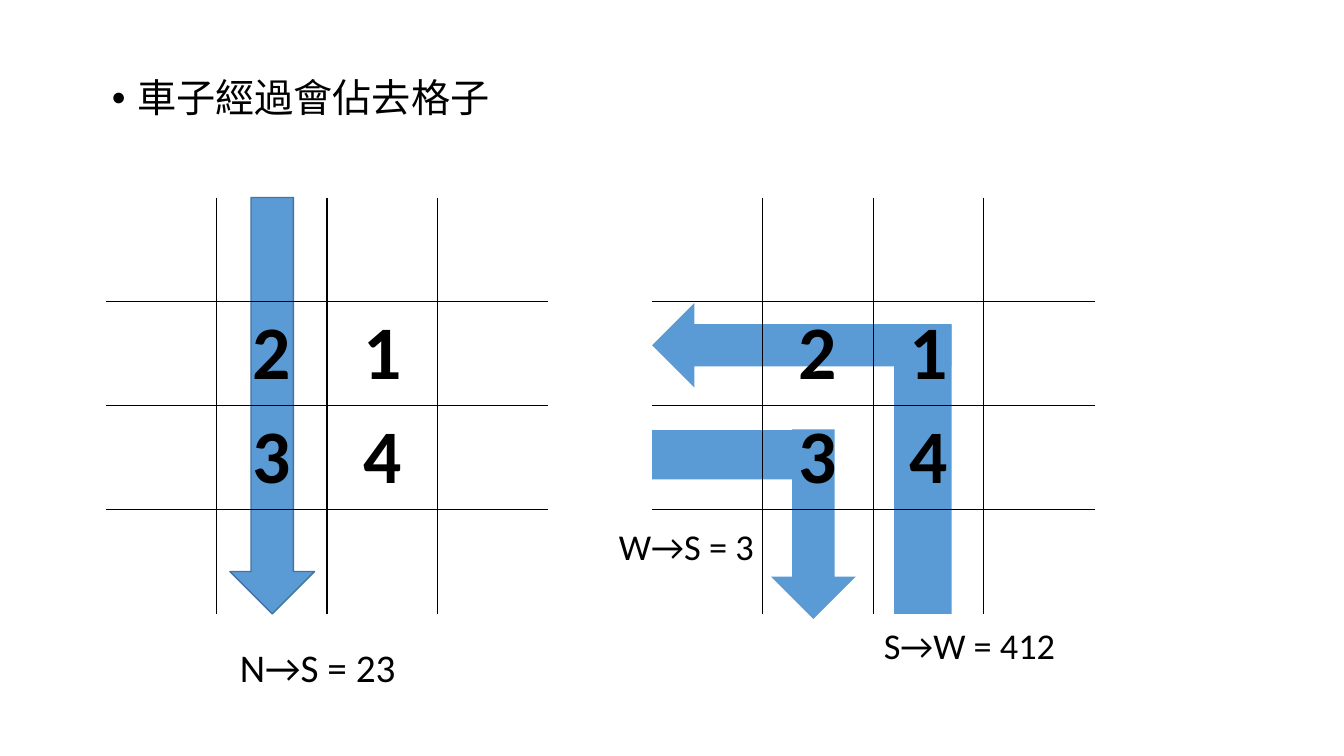
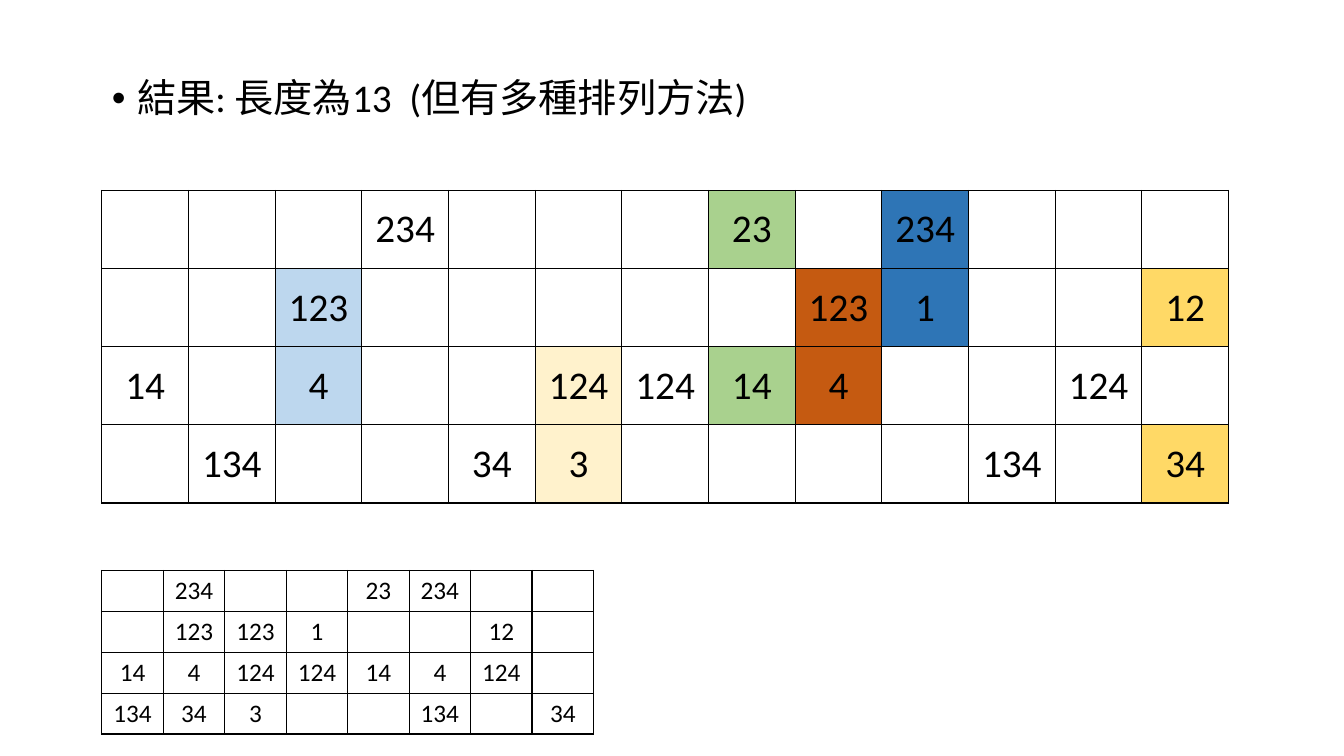
from lxml.etree import SubElement
from pptx import Presentation
from pptx.dml.color import RGBColor
from pptx.enum.shapes import MSO_SHAPE as Shape
from pptx.enum.text import MSO_ANCHOR as Anchor, MSO_AUTO_SIZE as AutoSize, PP_ALIGN as Align
from pptx.oxml.ns import qn
from pptx.util import Pt

COLORS = {
    "black": "000000", "arrow": "5B9BD5", "arrow_edge": "43739E",
    "green": "A9D18E", "blue": "2E75B6", "sky": "BDD7EE",
    "rust": "C55A11", "gold": "FFD966", "cream": "FFF2CC",
}
FONT = "Calibri"
PLAIN_TABLE = "{2D5ABB26-0587-4C30-8999-92F81FD0307C}"
EMPTY = "-"
TOP = 141.1
GRID_WIDTH, GRID_HEIGHT = 316.1, 297.4
CROSSING = ["- - - -", "- 2 1 -", "- 3 4 -", "- - - -"]
TABLE_LEFT = 72.7
SCHEDULE = [
    "- - - 234 - - - 23 - 234 - - -",
    "- - 123 - - - - - 123 1 - - 12",
    "14 - 4 - - 124 124 14 4 - - 124 -",
    "- 134 - - 34 3 - - - - 134 - 34",
]
MERGED = {2: "sky", 5: "cream", 7: "green", 8: "rust", 9: "blue", 12: "gold"}
COMPACT = [
    "- 234 - - 23 234 - -",
    "- 123 123 1 - - 12 -",
    "14 4 124 124 14 4 124 -",
    "134 34 3 - - 134 - 34",
]


def rgb(name):
    return RGBColor.from_string(COLORS[name])


def write(tf, text, size=28, bold=False, align=Align.LEFT, spacing=None, before=0):
    p = tf.paragraphs[0]
    p.alignment = align
    p.line_spacing = spacing
    p.space_before = Pt(before)
    r = p.add_run()
    r.text = text
    r.font.name, r.font.size, r.font.bold = FONT, Pt(size), bold
    r.font.color.rgb = rgb("black")
    return p


def add_heading(s, text):
    title = s.shapes.title
    title.left, title.top, title.width, title.height = Pt(72.7), Pt(52.6), Pt(756), Pt(60)
    tf = title.text_frame
    tf.auto_size = AutoSize.NONE
    tf.vertical_anchor = Anchor.TOP
    pPr = write(tf, text, spacing=0.9, before=10)._p.get_or_add_pPr()
    pPr.set("marL", str(Pt(18)))
    pPr.set("indent", str(Pt(-18)))
    SubElement(pPr, qn("a:buFont"), typeface="Arial")
    SubElement(pPr, qn("a:buChar"), char="•")


def add_label(s, text, x, y, size):
    tf = s.shapes.add_textbox(Pt(x), Pt(y), Pt(138.2), Pt(46.8)).text_frame
    tf.word_wrap = True
    write(tf, text, size=size, spacing=0.9, before=10)


def add_block(s, kind, x, y, w, h, edge=None):
    sp = s.shapes.add_shape(kind, Pt(x), Pt(y), Pt(w), Pt(h))
    sp.shadow.inherit = False
    sp.fill.solid()
    sp.fill.fore_color.rgb = rgb("arrow")
    if edge:
        sp.line.color.rgb = rgb(edge)
        sp.line.width = Pt(1)
    else:
        sp.line.fill.background()


def set_borders(cell, sides):
    tcPr = cell._tc.get_or_add_tcPr()
    for side, shown in sides.items():
        ln = SubElement(tcPr, qn(f"a:ln{side}"), w=str(Pt(1)))
        if shown:
            fill = SubElement(ln, qn("a:solidFill"))
            SubElement(fill, qn("a:srgbClr"), val=COLORS["black"])
        else:
            SubElement(ln, qn("a:noFill"))


def add_grid(s, lines, x, y, w, h, size, bold=False, frame=True, fills=None):
    rows = [line.split() for line in lines]
    n_rows, n_cols = len(rows), len(rows[0])
    table = s.shapes.add_table(n_rows, n_cols, Pt(x), Pt(y), Pt(w), Pt(h)).table
    table.first_row = table.horz_banding = False
    table._tbl.tblPr.find(qn("a:tableStyleId")).text = PLAIN_TABLE
    for col in table.columns:
        col.width = Pt(w / n_cols)
    for i, row in enumerate(rows):
        table.rows[i].height = Pt(h / n_rows)
        for j, text in enumerate(row):
            cell = table.cell(i, j)
            set_borders(cell, {"L": frame or j > 0, "R": frame or j < n_cols - 1,
                               "T": frame or i > 0, "B": frame or i < n_rows - 1})
            cell.fill.background()
            if text == EMPTY:
                continue
            cell.vertical_anchor = Anchor.MIDDLE
            write(cell.text_frame, text, size=size, bold=bold, align=Align.CENTER)
            if fills and j in fills:
                cell.fill.solid()
                cell.fill.fore_color.rgb = rgb(fills[j])


def add_crossing(s, x):
    add_grid(s, CROSSING, x, TOP, GRID_WIDTH, GRID_HEIGHT, 54, bold=True, frame=False)


def add_slide(prs, heading):
    s = prs.slides.add_slide(prs.slide_layouts[5])
    add_heading(s, heading)
    return s


def build_paths(prs):
    s = add_slide(prs, "車子經過會佔去格子")
    add_block(s, Shape.RECTANGLE, 638.6, 231.8, 41.2, 206.7)
    add_block(s, Shape.LEFT_ARROW, 465.8, 216.4, 213.8, 60.5)
    add_block(s, Shape.DOWN_ARROW, 550.8, 306.7, 60.5, 135.4)
    add_block(s, Shape.RECTANGLE, 465.8, 307.2, 124.6, 35.3)
    add_crossing(s, 465.8)
    add_block(s, Shape.DOWN_ARROW, 164.2, TOP, 60.5, GRID_HEIGHT, edge="arrow_edge")
    add_crossing(s, 75.6)
    add_label(s, "N→S = 23", 164.2, 460.1, 28)
    add_label(s, "S→W = 412", 624.2, 445, 25.9)
    add_label(s, "W→S = 3", 434.9, 374.4, 26)


def build_result(prs):
    s = add_slide(prs, "結果: 長度為13  (但有多種排列方法)")
    add_grid(s, SCHEDULE, TABLE_LEFT, 136.1, 805, 223.2, 28, fills=MERGED)
    add_grid(s, COMPACT, TABLE_LEFT, 407.5, 351.4, 116.8, 18)


def main():
    prs = Presentation()
    prs.slide_width, prs.slide_height = Pt(960), Pt(540)
    build_paths(prs)
    build_result(prs)
    prs.save("out.pptx")


if __name__ == "__main__":
    main()
